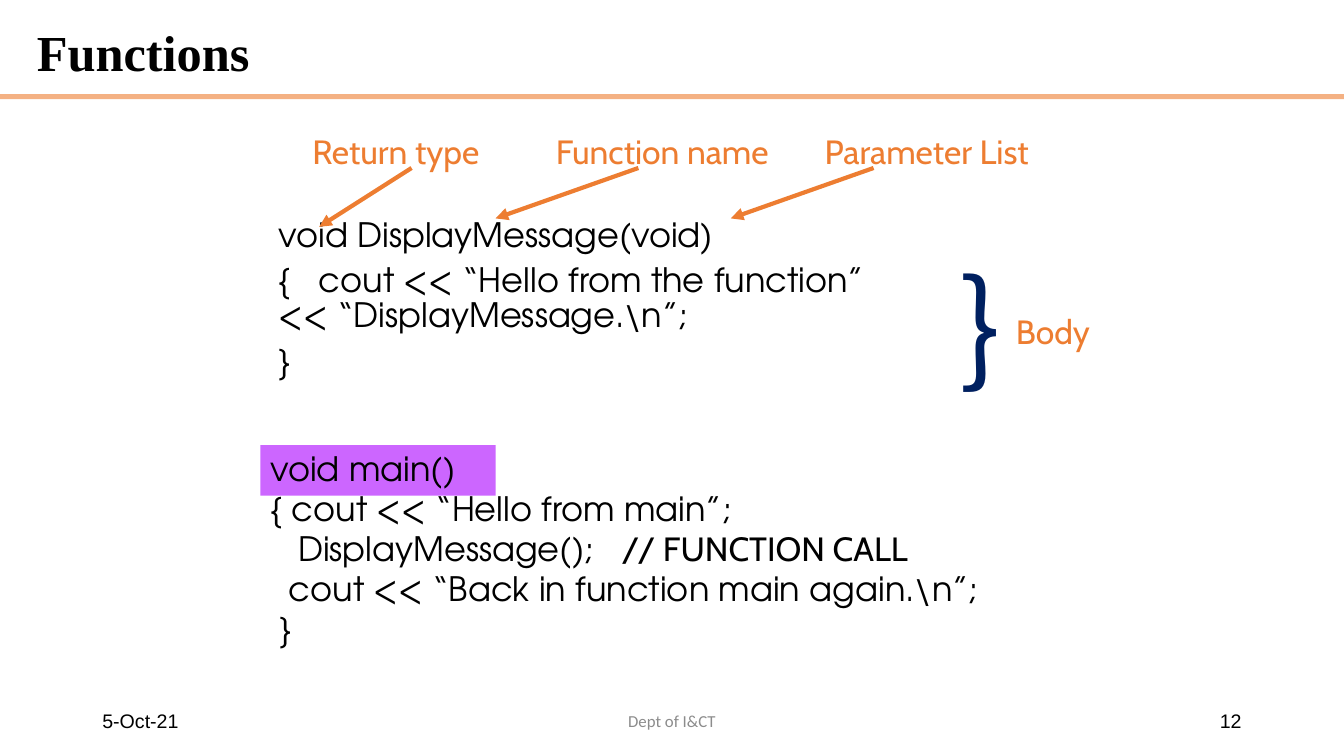
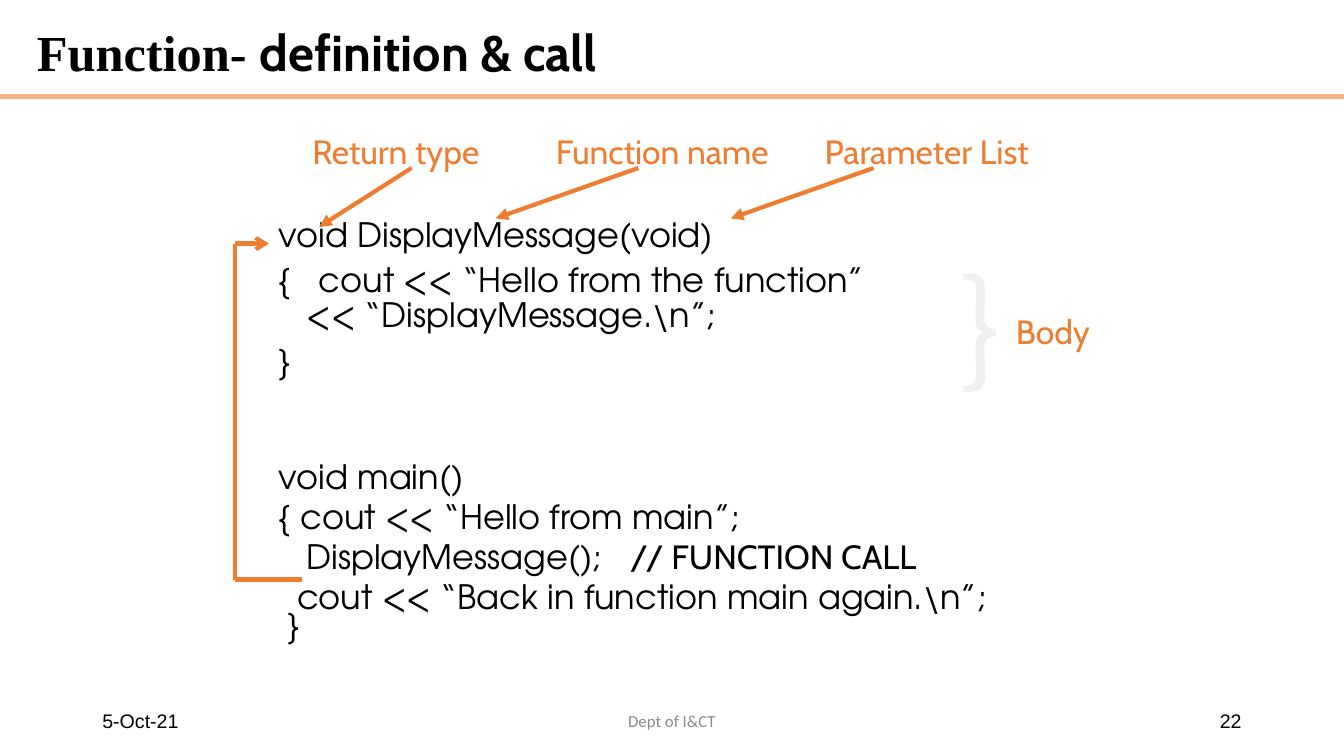
import dataclasses
import typing

import lxml.etree
import pptx
import pptx.dml.color
import pptx.enum.shapes
import pptx.enum.text
import pptx.oxml.ns
import pptx.util

RGB = pptx.dml.color.RGBColor
ALIGN = pptx.enum.text.PP_ALIGN
ANCHOR = pptx.enum.text.MSO_ANCHOR
SHAPES = pptx.enum.shapes

BLACK = RGB(0x00, 0x00, 0x00)
GREY = RGB(0x8C, 0x8C, 0x8C)
PALE = RGB(0xF1, 0xF0, 0xF0)
NAVY = RGB(0x00, 0x20, 0x60)
ORANGE = RGB(0xED, 0x7D, 0x31)
PEACH = RGB(0xF4, 0xB1, 0x83)
VIOLET = RGB(0xCC, 0x66, 0xFF)

CODE = "TeX Gyre Adventor"
SANS = "Cabin"
SERIF = "Times New Roman"

# The slide is a grid of 160 columns by 90 rows, twelve to the inch.
COLS, ROWS = 160, 90
CELL = pptx.util.Inches(1) // 12

Area = tuple[float, float, float, float]
Point = tuple[float, float]


class Span(typing.NamedTuple):
    text: str
    face: str = CODE


BREAK = Span("")


@dataclasses.dataclass(frozen=True)
class Para:
    spans: tuple[Span, ...]
    lead: float = 1.0


@dataclasses.dataclass(frozen=True)
class Style:
    size: int = 24
    ink: RGB = BLACK
    bold: bool = False
    align: ALIGN = ALIGN.LEFT
    anchor: ANCHOR = ANCHOR.TOP
    gap: float = 0


@dataclasses.dataclass(frozen=True)
class Label:
    text: str
    left: float
    width: float
    start: Point
    end: Point


CODING = Style(gap=8.4)
NOTE = Style(ink=ORANGE)
TITLE = Style(36, bold=True, anchor=ANCHOR.MIDDLE)
DATE = Style(14, anchor=ANCHOR.MIDDLE)
NUMBER = dataclasses.replace(DATE, align=ALIGN.RIGHT)
DEPT = Style(12, GREY, align=ALIGN.CENTER, anchor=ANCHOR.MIDDLE)

LABELS = (
    Label("Return type", 36, 31, (49, 20), (38, 27)),
    Label("Function name", 65, 31, (76, 20), (59, 26)),
    Label("Parameter List", 97, 33, (104, 20), (87, 26)),
)
HOOK = ((36, 69), (28, 69), (28, 29), (32, 29))


def grid(*cells: float) -> list[int]:
    return [round(cell * CELL) for cell in cells]


def block(slide, area: Area, fill: RGB) -> None:
    shape = slide.shapes.add_shape(SHAPES.MSO_SHAPE.RECTANGLE, *grid(*area))
    shape.shadow.inherit = False
    shape.fill.solid()
    shape.fill.fore_color.rgb = fill
    shape.line.fill.background()


def write(slide, area: Area, paras: typing.Sequence[Para], style: Style) -> None:
    frame = slide.shapes.add_textbox(*grid(*area)).text_frame
    frame.word_wrap = True
    frame.vertical_anchor = style.anchor
    for i, para in enumerate(paras):
        line = frame.add_paragraph() if i else frame.paragraphs[0]
        layout = {
            "alignment": style.align,
            "line_spacing": para.lead,
            "space_before": pptx.util.Pt(style.gap if i else 0),
        }
        for name, value in layout.items():
            setattr(line, name, value)
        for span in para.spans:
            if span == BREAK:
                line.add_line_break()
                continue
            run = line.add_run()
            run.text = span.text
            look = {
                "size": pptx.util.Pt(style.size),
                "name": span.face,
                "bold": style.bold,
            }
            for name, value in look.items():
                setattr(run.font, name, value)
            run.font.color.rgb = style.ink


def word(slide, area: Area, text: str, face: str, style: Style) -> None:
    """Write one line in one font."""
    write(slide, area, [Para((Span(text, face),))], style)


def link(slide, start: Point, end: Point, head: str = "") -> None:
    """Draw a line, with an arrowhead at its end if one is named."""
    line = slide.shapes.add_connector(
        SHAPES.MSO_CONNECTOR.STRAIGHT, *grid(*start, *end)
    )
    line.line.color.rgb = ORANGE
    line.line.width = pptx.util.Pt(3)
    qn = pptx.oxml.ns.qn
    if head:
        stroke = line.line._get_or_add_ln()
        lxml.etree.SubElement(stroke, qn("a:tailEnd"), type=head)
    lxml.etree.SubElement(line._element.spPr, qn("a:effectLst"))


def base(deck, title: tuple[Span, ...], number: str):
    """Add a slide with its title, band and footer."""
    slide = deck.slides.add_slide(deck.slide_layouts[6])
    block(slide, (0, 11.2, COLS, 0.6), PEACH)
    write(slide, (3.2, 1.8, 145.8, 9.5), [Para(title, 0.9)], TITLE)
    top, high = 83.4, 4.8
    word(slide, (11, top, 36, high), "5-Oct-21", "Arial", DATE)
    word(slide, (53, top, 54, high), "Dept of I&CT", "Calibri", DEPT)
    word(slide, (113, top, 36, high), number, "Arial", NUMBER)
    return slide


def define(slide, pad: str, ink: RGB) -> None:
    """Show the function definition with its parts labelled."""
    body = (
        Span("{   cout << “Hello from the function”"),
        BREAK,
        Span(pad + r"<< “DisplayMessage.\n”;"),
    )
    paras = [
        Para((Span("void DisplayMessage(void)"),), 0.75),
        Para(body, 0.85),
        Para((Span("}"),), 0.85),
    ]
    write(slide, (32, 26, 89, 20.6), paras, CODING)
    for label in LABELS:
        word(slide, (label.left, 15, label.width, 6.1), label.text, SANS, NOTE)
        link(slide, label.start, label.end, "triangle")
    word(slide, (113, 29, 11, 19), "}", "Noto Sans CJK JP", Style(88, ink))
    word(slide, (119.75, 36.4, 13.4, 6.1), "Body", SANS, NOTE)


def call(slide, left: float, top: float, tight: bool) -> None:
    """Show main; tight keeps its last brace in the paragraph above."""
    back = Span(r"  cout << “Back in function main again.\n”;")
    close = Span(" }")
    lines = [
        (Span("void main()"),),
        (Span("{ cout << “Hello from main”;"),),
        (Span("   DisplayMessage();   "), Span("// FUNCTION CALL", SANS)),
    ]
    lines += [(back, BREAK, close)] if tight else [(back,), (close,)]
    paras = [Para(spans, 0.7) for spans in lines]
    write(slide, (left, top, 102, 24), paras, CODING)


def main() -> None:
    deck = pptx.Presentation()
    deck.slide_width, deck.slide_height = grid(COLS, ROWS)

    slide = base(deck, (Span("Functions", SERIF),), "12")
    block(slide, (31, 53, 28, 6), VIOLET)
    define(slide, "", NAVY)
    call(slide, 31, 54.1, False)

    title = (Span("Function- ", SERIF), Span("definition & call", SANS))
    slide = base(deck, title, "22")
    define(slide, "   ", PALE)
    call(slide, 32, 55, True)
    for start, end in zip(HOOK, HOOK[1:]):
        link(slide, start, end, "arrow" if end == HOOK[-1] else "")

    deck.save("out.pptx")


if __name__ == "__main__":
    main()
